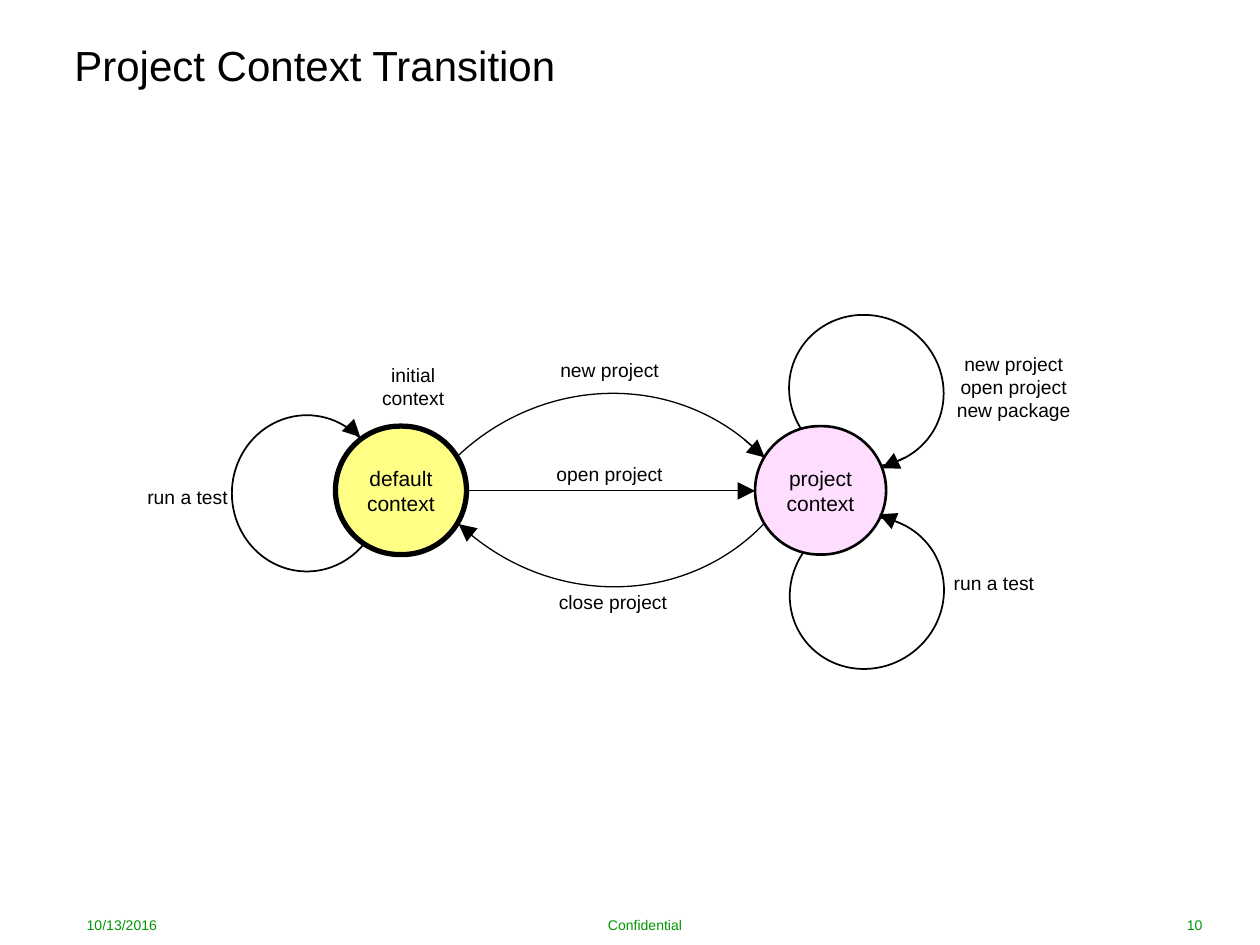
from lxml import etree
from pptx import Presentation
from pptx.dml.color import RGBColor
from pptx.enum.shapes import MSO_CONNECTOR, MSO_SHAPE
from pptx.enum.text import MSO_ANCHOR, PP_ALIGN
from pptx.oxml.ns import qn
from pptx.util import Pt

ARC, ELLIPSE, ROUNDED = MSO_SHAPE.ARC, MSO_SHAPE.OVAL, MSO_SHAPE.ROUNDED_RECTANGLE
STRAIGHT = MSO_CONNECTOR.STRAIGHT
LEFT, CENTER, RIGHT = PP_ALIGN.LEFT, PP_ALIGN.CENTER, PP_ALIGN.RIGHT
MIDDLE = MSO_ANCHOR.MIDDLE

FONT = "Arial"
COLORS = {
    "ink": "000000",
    "footer": "009800",
    "default": "FFFE85",
    "project": "FFDDFF",
}
LOOP_SIZE = (85.7, 89.3)
ARC_SIZE = (252.7, 241.2)
STATE_SIZE = (74.9, 73.4)
LINE_HEIGHT = 13.3  # of a transition label


def color(name):
    return RGBColor.from_string(COLORS[name])


def write(shape, lines, size, align=CENTER, ink="ink", margin=0, wrap=False):
    frame = shape.text_frame
    frame.word_wrap = wrap
    frame.vertical_anchor = MIDDLE
    frame.margin_left = frame.margin_right = Pt(margin)
    frame.margin_top = frame.margin_bottom = Pt(margin / 2)
    for index, line in enumerate(lines):
        paragraph = frame.add_paragraph() if index else frame.paragraphs[0]
        paragraph.text = line
        paragraph.alignment = align
        paragraph.font.name = FONT
        paragraph.font.size = Pt(size)
        paragraph.font.color.rgb = color(ink)


def add_text(slide, position, box_size, lines, size, **style):
    box = slide.shapes.add_textbox(*map(Pt, position + box_size))
    write(box, lines, size, **style)


def add_label(slide, center, width, lines):
    height = LINE_HEIGHT * len(lines)
    position = (center[0] - width / 2, center[1] - height / 2)
    add_text(slide, position, (width, height), lines, 11)


def add_outline(slide, kind, position, size, width, rotation=0, fill=None):
    shape = slide.shapes.add_shape(kind, *map(Pt, position + size))
    shape.shadow.inherit = False
    shape.rotation = rotation
    shape.line.color.rgb = color("ink")
    shape.line.width = Pt(width)
    if fill:
        shape.fill.solid()
        shape.fill.fore_color.rgb = color(fill)
    else:
        shape.fill.background()
    return shape


def add_state(slide, position, name, border):
    state = add_outline(slide, ROUNDED, position, STATE_SIZE, border, fill=name)
    state.adjustments[0] = 0.5
    write(state, [name, "context"], 12)


def add_arrow(slide, start, end):
    arrow = slide.shapes.add_connector(STRAIGHT, *map(Pt, start + end))
    arrow.line.color.rgb = color("ink")
    arrow.line.width = Pt(0.75)
    etree.SubElement(arrow.line._get_or_add_ln(), qn("a:tailEnd"),
                     type="triangle", w="lg", len="lg")
    etree.SubElement(arrow._element.spPr, qn("a:effectLst"))


def main():
    presentation = Presentation()
    presentation.slide_width, presentation.slide_height = Pt(720), Pt(540)
    slide = presentation.slides.add_slide(presentation.slide_layouts[6])

    # Title and footer
    add_text(slide, (42.5, 14.4), (510.5, 45.4), ["Project Context Transition"],
             24, align=LEFT, wrap=True)
    for left, width, text, align in [
        (42.5, 113, "10/13/2016", LEFT),
        (184.3, 368.6, "Confidential", CENTER),
        (581.2, 113, "10", RIGHT),
    ]:
        add_text(slide, (left, 521.3), (width, 14.4), [text], 8,
                 align=align, ink="footer", margin=7.2, wrap=True)

    # Curves between the two states
    add_outline(slide, ARC, (218.2, 227.5), ARC_SIZE, 0.75, rotation=316.6)
    lower = add_outline(slide, ARC, (218.9, 91.4), ARC_SIZE, 0.75, rotation=43.4)
    lower._element.spPr.xfrm.set("flipV", "1")

    # Loops, partly hidden behind the states
    for position, rotation in [
        ((452.2, 178.6), 121),
        ((452.5, 294.2), 55.5),
        ((132.5, 237.3), 0),
    ]:
        add_outline(slide, ELLIPSE, position, LOOP_SIZE, 1, rotation)

    # States
    add_state(slide, (191.7, 243.5), "default", 3)
    add_state(slide, (431.5, 243.5), "project", 1.5)

    # Straight transition, then the heads of the curves and loops
    for start, end in [
        ((266.4, 280.5), (431.5, 280.5)),
        ((425.5, 251.3), (437, 261.4)),
        ((269.3, 305.3), (262.1, 299.5)),
        ((199.4, 243.4), (205.9, 249.8)),
        ((517, 261.4), (504, 267.6)),
        ((515.5, 299.5), (502.3, 293.9)),
    ]:
        add_arrow(slide, start, end)

    # Transition labels
    for center, width, lines in [
        ((107.2, 284), 48, ["run a test"]),
        ((568, 333), 48, ["run a test"]),
        ((348.4, 270.8), 72, ["open project"]),
        ((348.4, 211.5), 72, ["new project"]),
        ((579.3, 221), 72, ["new project", "open project", "new package"]),
        ((350.3, 343.8), 72, ["close project"]),
        ((236.1, 220.7), 48, ["initial", "context"]),
    ]:
        add_label(slide, center, width, lines)

    presentation.save("out.pptx")


if __name__ == "__main__":
    main()
